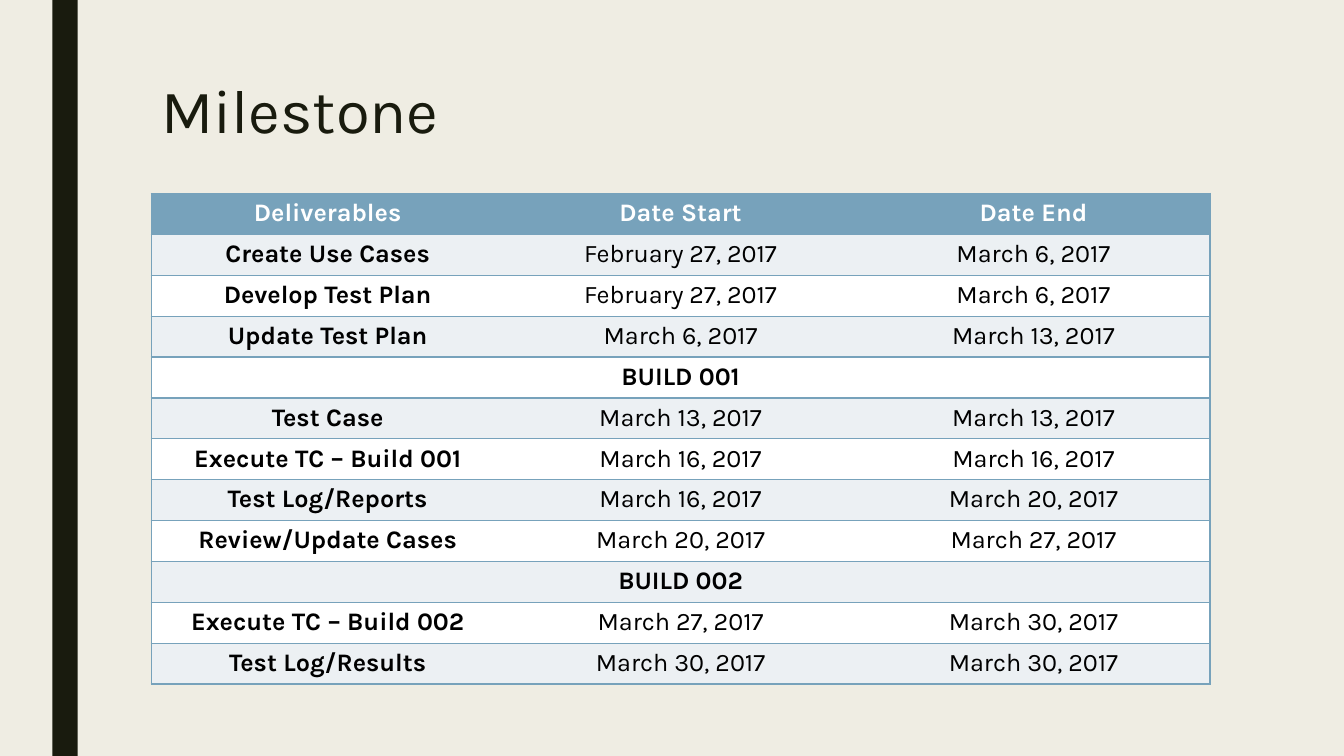
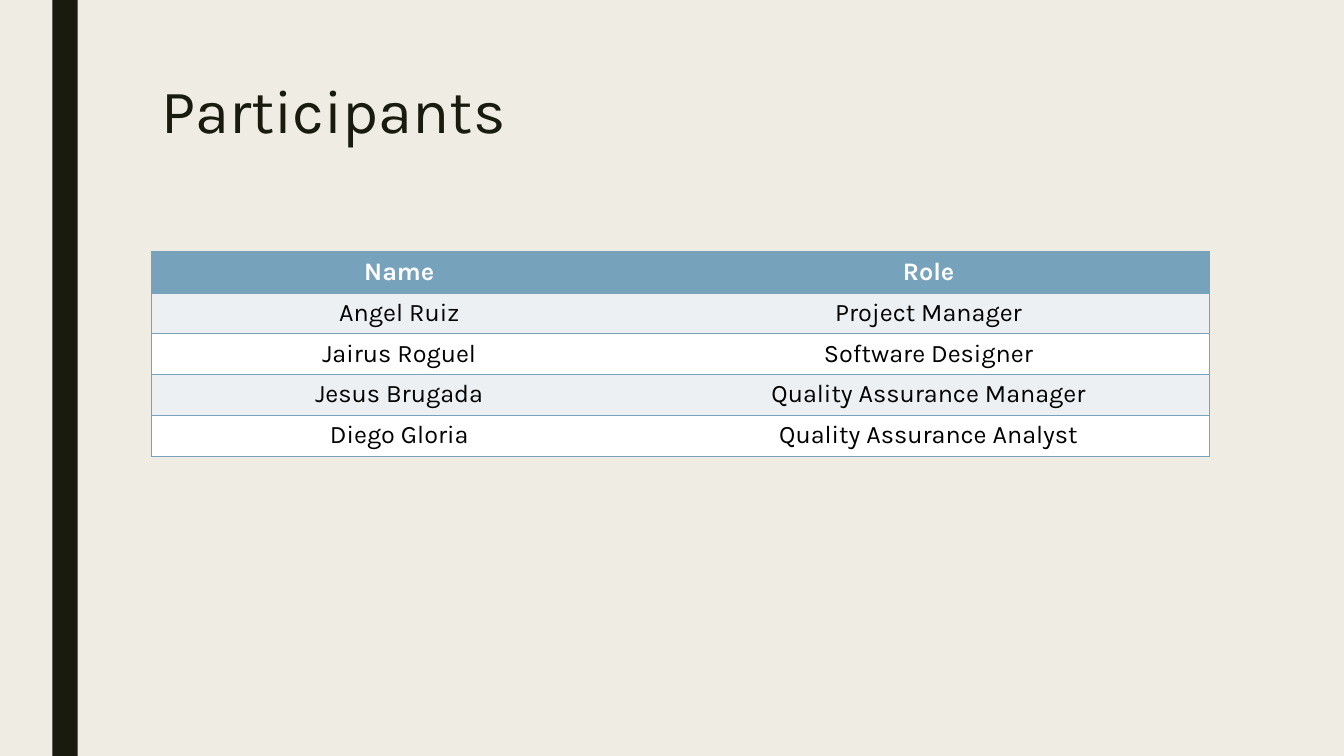
"""Builds the milestone and participant table slides."""
from lxml import etree
from pptx import Presentation
from pptx.dml.color import RGBColor
from pptx.enum import shapes, text
from pptx.oxml import ns
from pptx.util import Inches, Pt

HUES = {"back": "EFEDE3", "dark": "191B0E", "blue": "77A2BB",
        "pale": "ECF0F3", "white": "FFFFFF", "black": "000000"}
FACE = "Karla"
HEAD = {"name": FACE, "size": Pt(44), "bold": False}
BODY = {"name": FACE, "size": Pt(18)}
LEFT, WIDTH = 1.5, 10.5

DATES = [
    ("Deliverables", "Date Start", "Date End"),
    ("Create Use Cases", "February 27, 2017", "March 6, 2017"),
    ("Develop Test Plan", "February 27, 2017", "March 6, 2017"),
    ("Update Test Plan", "March 6, 2017", "March 13, 2017"),
    ("BUILD 001",),
    ("Test Case", "March 13, 2017", "March 13, 2017"),
    ("Execute TC – Build 001", "March 16, 2017", "March 16, 2017"),
    ("Test Log/Reports", "March 16, 2017", "March 20, 2017"),
    ("Review/Update Cases", "March 20, 2017", "March 27, 2017"),
    ("BUILD 002",),
    ("Execute TC – Build 002", "March 27, 2017", "March 30, 2017"),
    ("Test Log/Results", "March 30, 2017", "March 30, 2017"),
]
TEAM = [
    ("Name", "Role"),
    ("Angel Ruiz", "Project Manager"),
    ("Jairus Roguel", "Software Designer"),
    ("Jesus Brugada", "Quality Assurance Manager"),
    ("Diego Gloria", "Quality Assurance Analyst"),
]
SLIDES = [
    {"title": "Milestone", "rows": DATES, "top": 1.92, "high": 4.87,
     "cols": (3.5, 3.5, 3.5), "lead": True},
    {"title": "Participants", "rows": TEAM, "top": 2.5, "high": 2.03,
     "cols": (4.92, 5.58), "lead": False},
]


def paint(fill, hue):
    fill.solid()
    fill.fore_color.rgb = RGBColor.from_string(HUES[hue])


def style(font, hue, form):
    for key, value in form.items():
        setattr(font, key, value)
    font.color.rgb = RGBColor.from_string(HUES[hue])


def edge(cell, sides):
    props = cell._tc.get_or_add_tcPr()
    for side in "LRTB":
        line = etree.SubElement(props, ns.qn(f"a:ln{side}"), w=str(Pt(1)))
        if side in sides:
            fill = etree.SubElement(line, ns.qn("a:solidFill"))
            etree.SubElement(fill, ns.qn("a:srgbClr"), val=HUES["blue"])
        else:
            etree.SubElement(line, ns.qn("a:noFill"))


def frame(deck, title):
    slide = deck.slides.add_slide(deck.slide_layouts[6])
    paint(slide.background.fill, "back")
    band = slide.shapes.add_shape(shapes.MSO_SHAPE.RECTANGLE, Inches(0.52), 0,
                                  Inches(0.25), deck.slide_height)
    band.shadow.inherit = False
    paint(band.fill, "dark")
    band.line.fill.background()
    box = slide.shapes.add_textbox(Inches(LEFT), Inches(0.75),
                                   Inches(WIDTH), Inches(1.62))
    box.text_frame.word_wrap = True
    para = box.text_frame.paragraphs[0]
    para.line_spacing = 0.89
    run = para.add_run()
    run.text = title
    style(run.font, "dark", HEAD)
    return slide


def grid(slide, rows, top, high, cols, lead):
    last = len(cols) - 1
    table = slide.shapes.add_table(len(rows), len(cols), Inches(LEFT), Inches(top),
                                   Inches(WIDTH), Inches(high)).table
    for col, wide in zip(table.columns, cols):
        col.width = Inches(wide)
    for r, row in enumerate(rows):
        table.rows[r].height = Inches(high / len(rows))
        whole = len(row) == 1
        if whole:
            table.cell(r, 0).merge(table.cell(r, last))
        for c, words in enumerate(row):
            cell = table.cell(r, c)
            edge(cell, "TB" + "L" * (c == 0) + "R" * (whole or c == last))
            paint(cell.fill, "blue" if r == 0 else ("white", "pale")[r % 2])
            para = cell.text_frame.paragraphs[0]
            para.alignment = text.PP_ALIGN.CENTER
            run = para.add_run()
            run.text = words
            bold = r == 0 or (lead and c == 0)
            style(run.font, "black" if r else "white", {**BODY, "bold": bold})


deck = Presentation()
deck.slide_width, deck.slide_height = Inches(13.33), Inches(7.5)
for page in SLIDES:
    parts = dict(page)
    grid(frame(deck, parts.pop("title")), **parts)
deck.save("out.pptx")
